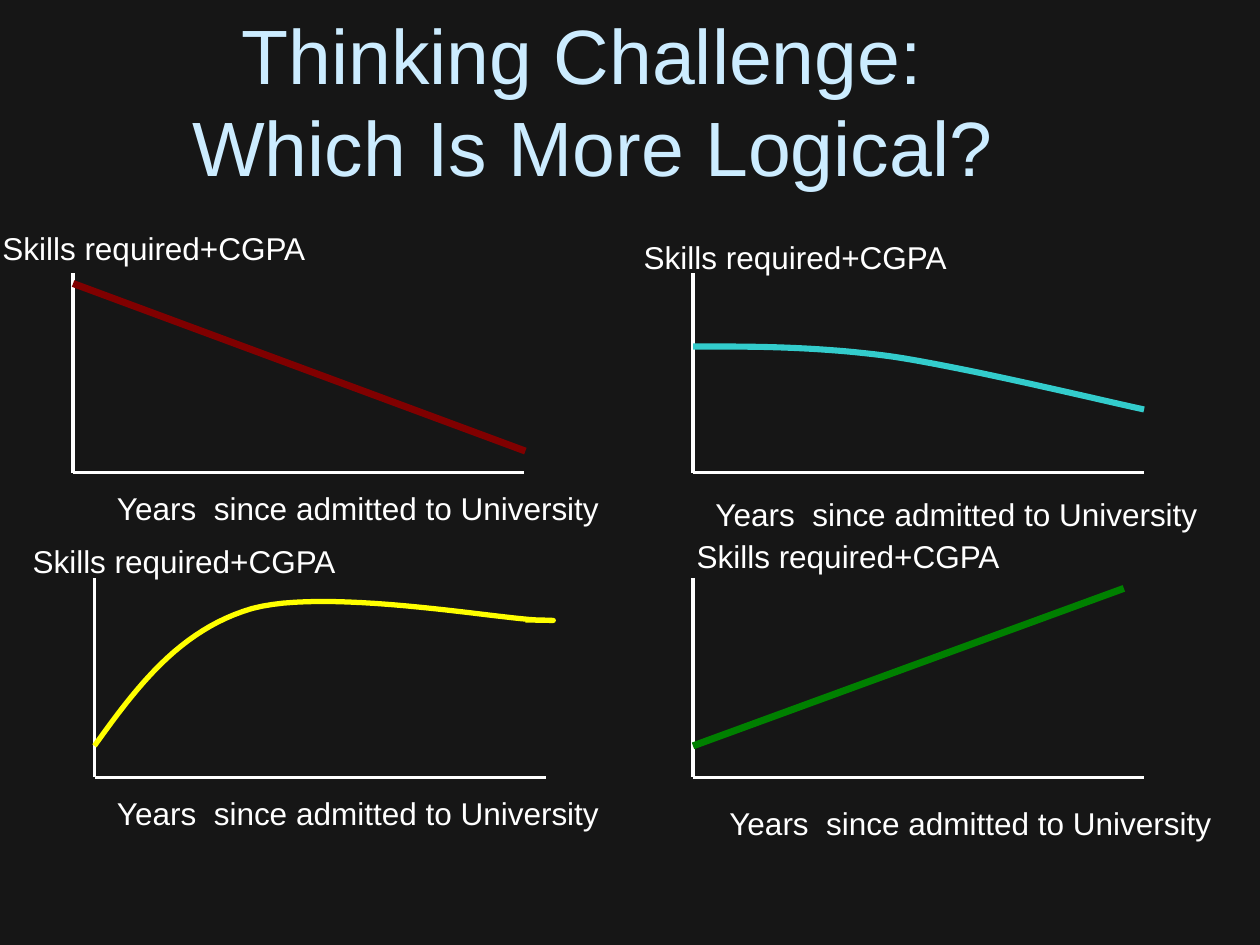
"""Build a slide that compares four sketched graphs of skills against years."""
from lxml.etree import SubElement
from pptx import Presentation
from pptx.dml.color import RGBColor
from pptx.enum.shapes import MSO_CONNECTOR as Connector
from pptx.enum.text import MSO_ANCHOR as Anchor, PP_ALIGN as Align
from pptx.oxml.ns import qn
from pptx.util import Inches, Pt

THEME = {
    "font": "Arial", "title_size": 44, "label_size": 18, "axis_width": 2,
    "background": "161616", "title": "CCECFF", "ink": "FFFFFF",
    "falling": "800000", "easing": "33CCCC", "peaking": "FFFF00", "rising": "008000",
}
AXIS_WIDTH, AXIS_HEIGHT = 3.58, 1.58
CURVE_STEPS = 24

presentation = Presentation()
presentation.slide_width, presentation.slide_height = Inches(10), Inches(7.5)
slide = presentation.slides.add_slide(presentation.slide_layouts[6])
slide.background.fill.solid()
slide.background.fill.fore_color.rgb = RGBColor.from_string(THEME["background"])


def add_text(text, left, top, width, height, size, color):
    box = slide.shapes.add_textbox(Inches(left), Inches(top), Inches(width), Inches(height))
    frame = box.text_frame
    frame.word_wrap = True
    frame.text = text
    for run in frame.paragraphs[0].runs:
        run.font.name = THEME["font"]
        run.font.size = Pt(THEME[size])
        run.font.color.rgb = RGBColor.from_string(THEME[color])
    return frame


def add_line(start, end, color, width):
    line = slide.shapes.add_connector(Connector.STRAIGHT, *map(Inches, start + end))
    line.line.color.rgb = RGBColor.from_string(THEME[color])
    line.line.width = Pt(width)
    SubElement(line._element.spPr, qn("a:effectLst"))


title = add_text("Thinking Challenge: \vWhich Is More Logical?", 0.58, 0.17, 8.25, 1.24, "title_size", "title")
title.vertical_anchor = Anchor.MIDDLE
title.paragraphs[0].alignment = Align.CENTER

graphs = [
    {"origin": (0.58, 3.75), "skills": (-0.08, 1.77), "years": (0.83, 3.83),
     "color": "falling", "width": 4, "points": [(0.58, 2.25), (4.17, 3.58)]},
    {"origin": (5.5, 3.75), "skills": (5.01, 1.84), "years": (5.58, 3.88),
     "color": "easing", "width": 3.5,
     "points": [(5.5, 2.75), (5.99, 2.75), (6.49, 2.75), (7.08, 2.83),
                (7.68, 2.92), (8.75, 3.18), (9.08, 3.25)]},
    {"origin": (0.75, 6.17), "skills": (0.16, 4.25), "years": (0.83, 6.25),
     "color": "peaking", "width": 3,
     "points": [(0.75, 5.92), (1.08, 5.46), (1.42, 5), (2, 4.83),
                (2.58, 4.67), (3.89, 4.9), (4.25, 4.92),
                (4.61, 4.93), (4.17, 4.92), (4.17, 4.92)]},
    {"origin": (5.5, 6.17), "skills": (5.43, 4.21), "years": (5.69, 6.33),
     "color": "rising", "width": 4, "points": [(5.5, 5.92), (8.92, 4.67)]},
]

for graph in graphs:
    x, y = graph["origin"]
    add_line((x, y - AXIS_HEIGHT), (x, y), "ink", THEME["axis_width"])
    add_line((x, y), (x + AXIS_WIDTH, y), "ink", THEME["axis_width"])
    points = graph["points"]
    if len(points) == 2:
        add_line(*points, graph["color"], graph["width"])
    else:
        vertices = []
        for first in range(0, len(points) - 1, 3):
            for step in range(1, CURVE_STEPS + 1):
                t = step / CURVE_STEPS
                weights = ((1 - t) ** 3, 3 * t * (1 - t) ** 2, 3 * t ** 2 * (1 - t), t ** 3)
                controls = zip(*points[first:first + 4])
                vertices.append(tuple(
                    Inches(sum(w * value for w, value in zip(weights, axis))) for axis in controls))
        builder = slide.shapes.build_freeform(*map(Inches, points[0]))
        builder.add_line_segments(vertices, close=False)
        curve = builder.convert_to_shape()
        curve.shadow.inherit = False
        curve.fill.background()
        curve.line.color.rgb = RGBColor.from_string(THEME[graph["color"]])
        curve.line.width = Pt(graph["width"])
    add_text("Skills required+CGPA", *graph["skills"], 2.92, 0.4, "label_size", "ink")
    add_text("Years  since admitted to University", *graph["years"], 4.25, 0.4, "label_size", "ink")

presentation.save("out.pptx")
